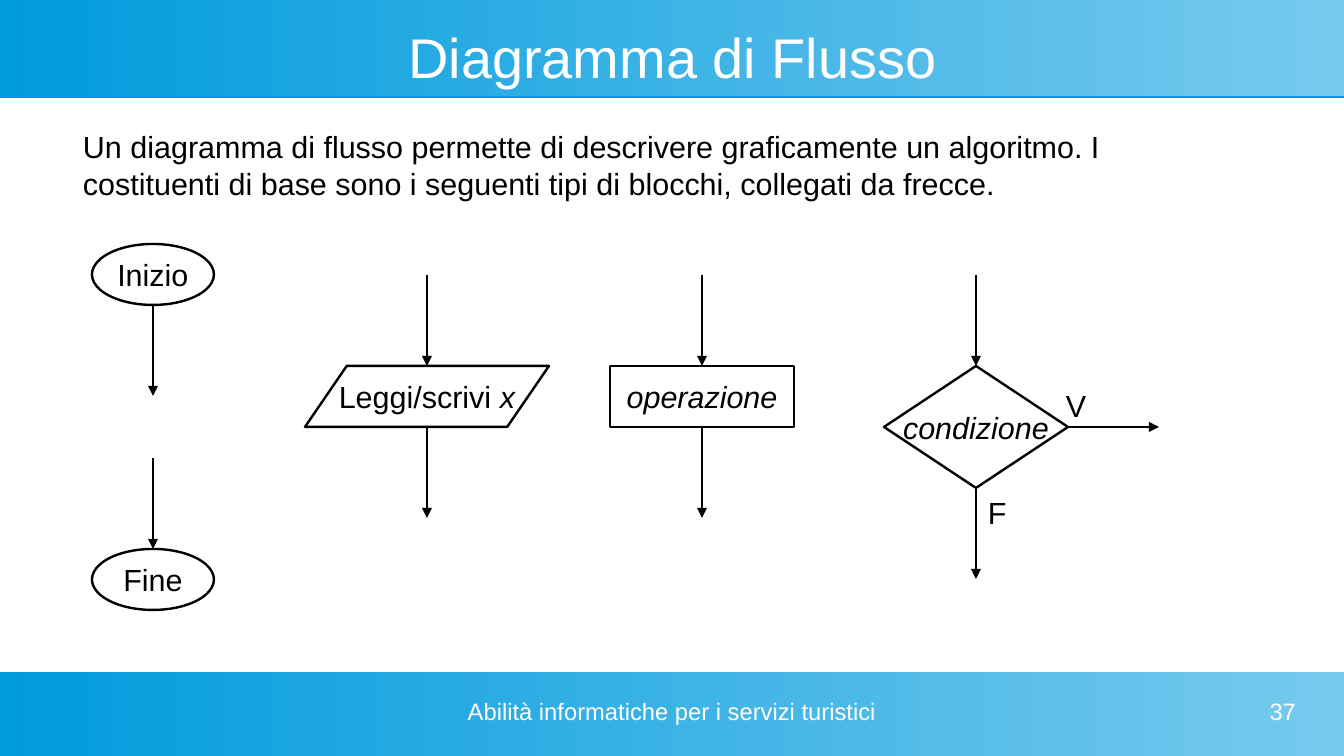
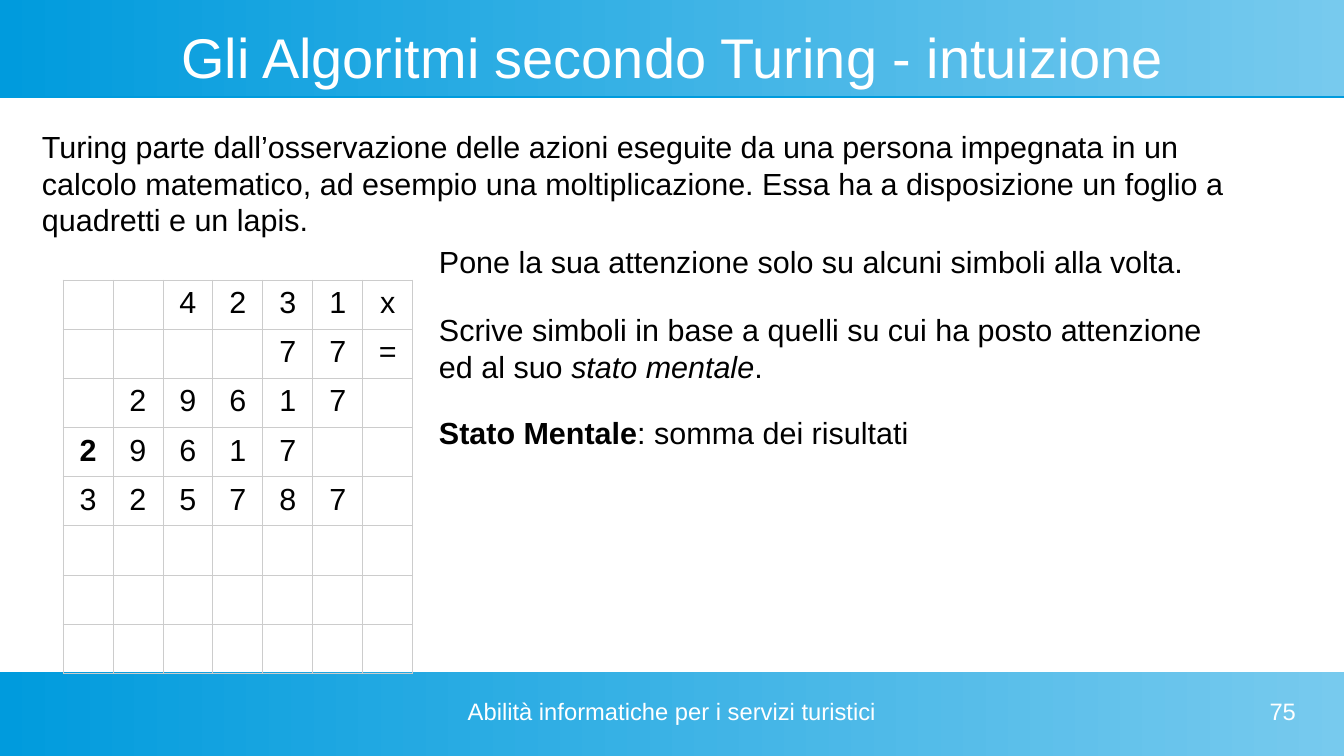
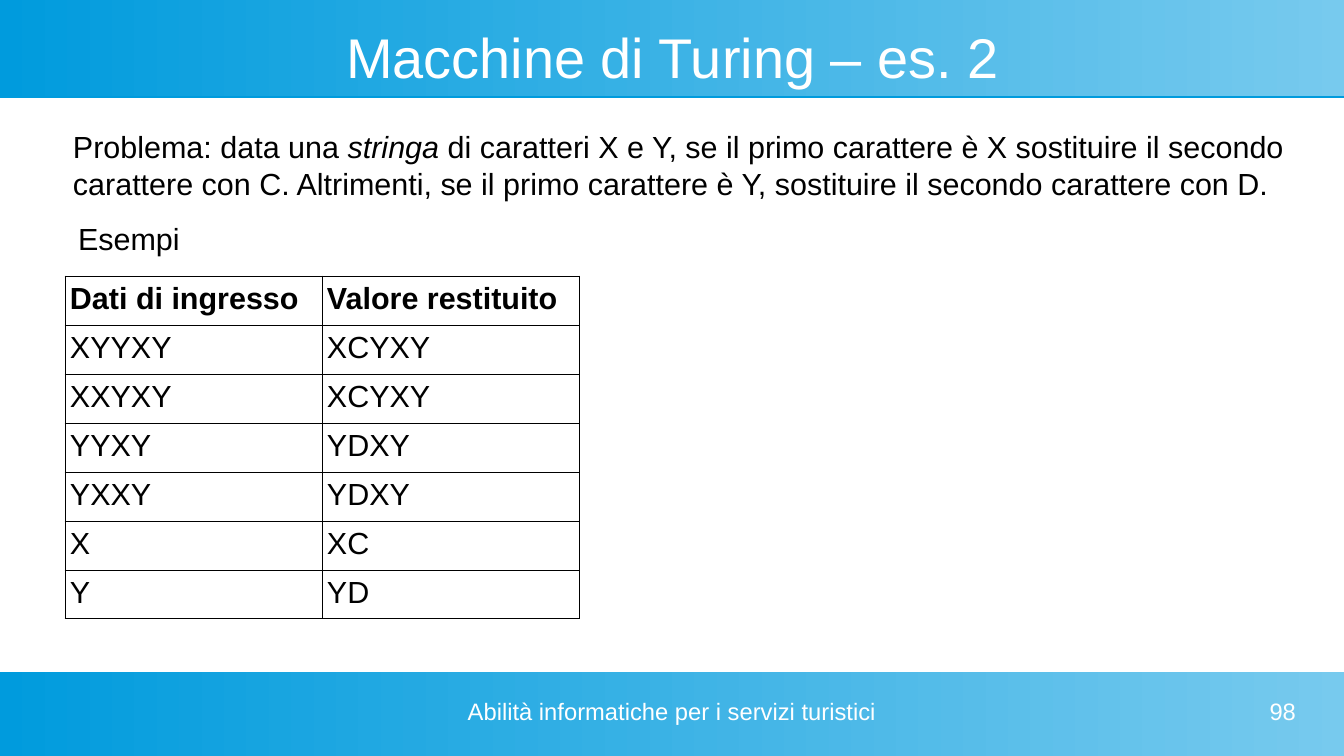
from dataclasses import dataclass
from typing import NamedTuple, Optional, Sequence

from lxml.etree import SubElement
from pptx import Presentation
from pptx.dml.color import RGBColor
from pptx.enum.shapes import MSO_CONNECTOR, MSO_SHAPE
from pptx.enum.text import MSO_ANCHOR, MSO_AUTO_SIZE, PP_ALIGN
from pptx.oxml.ns import qn
from pptx.oxml.xmlchemy import OxmlElement
from pptx.presentation import Presentation as Deck
from pptx.slide import Slide, SlideLayout
from pptx.text.text import TextFrame
from pptx.util import Emu, Pt

EMU_PER_PX = 7495
PAGE_WIDTH, PAGE_HEIGHT = 1344, 756
COLORS = {
    "deep_blue": "009BDD",
    "light_blue": "77CAEE",
    "white": "FFFFFF",
    "black": "000000",
    "grid": "CCCCCC",
}
FONT = "Arial"
TITLE_SIZE, TEXT_SIZE, FOOTER_SIZE = 33, 18, 14
FOOTER = "Abilità informatiche per i servizi turistici"
LINE_WIDTH, BORDER_WIDTH = 1.42, 0.57
ARROW_LENGTH = 91
ROW_HEIGHT = 49


class Area(NamedTuple):
    left: int
    top: int
    width: int
    height: int


class Span(NamedTuple):
    text: str
    bold: bool = False
    italic: bool = False


Line = Sequence[Span]


@dataclass(frozen=True)
class TextStyle:
    size: int = TEXT_SIZE
    color: str = "black"
    align: PP_ALIGN = PP_ALIGN.LEFT
    inset_x: int = 12
    inset_y: int = 6
    anchor: MSO_ANCHOR = MSO_ANCHOR.TOP
    wrap: bool = True


@dataclass(frozen=True)
class FlowBlock:
    kind: MSO_SHAPE
    center: int
    top: int
    width: int
    height: int
    label: Line
    arrow_in: bool = True
    arrow_out: bool = True
    slant: Optional[float] = None


BODY = TextStyle()
LABEL = TextStyle(align=PP_ALIGN.CENTER, anchor=MSO_ANCHOR.MIDDLE, wrap=False)
TITLE = TextStyle(TITLE_SIZE, "white", PP_ALIGN.CENTER, 0, 0, MSO_ANCHOR.MIDDLE)
FOOTER_CENTER = TextStyle(FOOTER_SIZE, "white", PP_ALIGN.CENTER, 0, 0)
FOOTER_RIGHT = TextStyle(FOOTER_SIZE, "white", PP_ALIGN.RIGHT, 0, 0)
CELL_LEFT = TextStyle(inset_x=5)
CELL_CENTER = TextStyle(align=PP_ALIGN.CENTER, inset_x=5)

TITLE_AREA = Area(48, 24, 1249, 64)
BANDS = (Area(0, 0, PAGE_WIDTH, 96), Area(0, 672, PAGE_WIDTH, 84))
FOOTER_AREA = Area(456, 697, 432, 48)
NUMBER_AREA = Area(984, 697, 312, 48)

FLOW_BLOCKS = (
    FlowBlock(MSO_SHAPE.OVAL, 153, 244, 122, 61, [Span("Inizio")], arrow_in=False),
    FlowBlock(MSO_SHAPE.OVAL, 153, 549, 122, 61, [Span("Fine")], arrow_out=False),
    FlowBlock(MSO_SHAPE.PARALLELOGRAM, 427, 366, 244, 61,
              [Span("Leggi/scrivi "), Span("x", italic=True)], slant=0.685),
    FlowBlock(MSO_SHAPE.RECTANGLE, 702, 366, 184, 61, [Span("operazione", italic=True)]),
    FlowBlock(MSO_SHAPE.DIAMOND, 976, 366, 184, 122, [Span("condizione", italic=True)]),
)
MULTIPLICATION = (
    "__4231x", "____77=", "_29617_", "29617__", "325787_",
    "_______", "_______", "_______",
)
CARRY_CELL = (3, 0)
EXAMPLES = (
    ("Dati di ingresso", "Valore restituito"),
    ("XYYXY", "XCYXY"),
    ("XXYXY", "XCYXY"),
    ("YYXY", "YDXY"),
    ("YXXY", "YDXY"),
    ("X", "XC"),
    ("Y", "YD"),
)


def px(length: int) -> Emu:
    return Emu(length * EMU_PER_PX)


def place(area: Area) -> list[Emu]:
    return [px(length) for length in area]


def rgb(name: str) -> RGBColor:
    return RGBColor.from_string(COLORS[name])


def write(frame: TextFrame, lines: Sequence[Line], style: TextStyle) -> None:
    frame.auto_size = MSO_AUTO_SIZE.NONE
    frame.word_wrap = style.wrap
    frame.vertical_anchor = style.anchor
    frame.margin_left = frame.margin_right = px(style.inset_x)
    frame.margin_top = frame.margin_bottom = px(style.inset_y)
    write_lines(frame, lines, style)


def write_lines(frame: TextFrame, lines: Sequence[Line], style: TextStyle) -> None:
    for index, line in enumerate(lines):
        para = frame.add_paragraph() if index else frame.paragraphs[0]
        para.alignment = style.align
        for span in line:
            run = para.add_run()
            run.text = span.text
            run.font.name = FONT
            run.font.size = Pt(style.size)
            run.font.bold = span.bold
            run.font.italic = span.italic
            run.font.color.rgb = rgb(style.color)


def add_text(page: Slide, area: Area, *lines: Line, style: TextStyle = BODY) -> None:
    box = page.shapes.add_textbox(*place(area))
    write(box.text_frame, lines, style)


def add_band(page: Slide, layout: SlideLayout, area: Area) -> None:
    band = page.shapes.add_shape(MSO_SHAPE.RECTANGLE, *place(area))
    band.fill.gradient()
    band.fill.gradient_angle = 0
    for stop, position, color in zip(
        band.fill.gradient_stops, (0, 1), ("deep_blue", "light_blue")
    ):
        stop.position = position
        stop.color.rgb = rgb(color)
    band.line.fill.background()
    band.shadow.inherit = False
    effects = band.element.spPr.find(qn("a:effectLst"))
    shadow = SubElement(effects, qn("a:outerShdw"), blurRad="0",
                        dist=str(int(Pt(0.9))), dir="5400000", rotWithShape="0")
    SubElement(shadow, qn("a:srgbClr"), val=COLORS["deep_blue"])
    layout.shapes.element.insert(2, band.element)


def prepare_layout(deck: Deck) -> SlideLayout:
    layout = deck.slide_layouts[5]
    title, *others = layout.placeholders
    for holder in others:
        layout.shapes.element.remove(holder.element)
    title.left, title.top, title.width, title.height = place(TITLE_AREA)
    return layout


def add_page(deck: Deck, layout: SlideLayout, title: str, number: int) -> Slide:
    page = deck.slides.add_slide(layout)
    write(page.shapes.title.text_frame, [[Span(title)]], TITLE)
    add_text(page, FOOTER_AREA, [Span(FOOTER)], style=FOOTER_CENTER)
    add_text(page, NUMBER_AREA, [Span(str(number))], style=FOOTER_RIGHT)
    return page


def add_arrow(page: Slide, left: int, top: int, across: int = 0, down: int = 0) -> None:
    arrow = page.shapes.add_connector(
        MSO_CONNECTOR.STRAIGHT, px(left), px(top), px(left + across), px(top + down)
    )
    arrow.line.color.rgb = rgb("black")
    arrow.line.width = Pt(LINE_WIDTH)
    properties = arrow.element.spPr
    SubElement(properties.find(qn("a:ln")), qn("a:tailEnd"), type="triangle")
    SubElement(properties, qn("a:effectLst"))


def add_block(page: Slide, block: FlowBlock) -> None:
    area = Area(block.center - block.width // 2, block.top, block.width, block.height)
    shape = page.shapes.add_shape(block.kind, *place(area))
    if block.slant is not None:
        shape.adjustments[0] = block.slant
    shape.fill.background()
    shape.line.color.rgb = rgb("black")
    shape.line.width = Pt(LINE_WIDTH)
    shape.shadow.inherit = False
    write(shape.text_frame, [block.label], LABEL)
    if block.arrow_in:
        add_arrow(page, block.center, block.top - ARROW_LENGTH, down=ARROW_LENGTH)
    if block.arrow_out:
        add_arrow(page, block.center, block.top + block.height, down=ARROW_LENGTH)


def add_grid(page: Slide, left: int, top: int, column_width: int,
             rows: Sequence[Sequence[Span]], border: str, style: TextStyle) -> None:
    columns = len(rows[0])
    area = Area(left, top, column_width * columns, ROW_HEIGHT * len(rows))
    table = page.shapes.add_table(len(rows), columns, *place(area)).table
    table.first_row = table.horz_banding = False
    for row_index, row in enumerate(rows):
        for column_index, span in enumerate(row):
            cell = table.cell(row_index, column_index)
            cell.margin_left = cell.margin_right = px(style.inset_x)
            cell.margin_top = cell.margin_bottom = px(style.inset_y)
            cell.fill.background()
            properties = cell._tc.get_or_add_tcPr()
            for index, side in enumerate(("a:lnL", "a:lnR", "a:lnT", "a:lnB")):
                edge = OxmlElement(side)
                edge.set("w", str(int(Pt(BORDER_WIDTH))))
                fill = SubElement(edge, qn("a:solidFill"))
                SubElement(fill, qn("a:srgbClr"), val=COLORS[border])
                properties.insert(index, edge)
            if span.text:
                write_lines(cell.text_frame, [[span]], style)


def build_flowchart(page: Slide) -> None:
    add_text(page, Area(71, 122, 1128, 92), [Span(
        "Un diagramma di flusso permette di descrivere graficamente un algoritmo. "
        "I costituenti di base sono i seguenti tipi di blocchi, collegati da frecce."
    )])
    for block in FLOW_BLOCKS:
        add_block(page, block)
    add_arrow(page, 1068, 427, across=ARROW_LENGTH)
    add_text(page, Area(1054, 381, 44, 46), [Span("V")])
    add_text(page, Area(976, 488, 44, 46), [Span("F")])


def build_multiplication(page: Slide) -> None:
    add_text(page, Area(30, 122, 1250, 115), [Span(
        "Turing parte dall’osservazione delle azioni eseguite da una persona impegnata "
        "in un calcolo matematico, ad esempio una moltiplicazione. Essa ha a "
        "disposizione un foglio a quadretti e un lapis."
    )])
    rows = [
        [Span(symbol.strip("_"), bold=(row, column) == CARRY_CELL)
         for column, symbol in enumerate(symbols)]
        for row, symbols in enumerate(MULTIPLICATION)
    ]
    add_grid(page, 63, 280, 50, rows, "grid", CELL_CENTER)
    add_text(page, Area(427, 237, 793, 68),
             [Span("Pone la sua attenzione solo su alcuni simboli alla volta.")])
    add_text(page, Area(427, 305, 793, 80),
             [Span("Scrive simboli in base a quelli su cui ha posto attenzione")],
             [Span("ed al suo "), Span("stato mentale", italic=True), Span(".")])
    add_text(page, Area(427, 408, 793, 68),
             [Span("Stato Mentale", bold=True), Span(": somma dei risultati")])


def build_exercise(page: Slide) -> None:
    add_text(page, Area(61, 122, 1250, 92), [
        Span("Problema: data una "),
        Span("stringa", italic=True),
        Span(" di caratteri X e Y, se il primo carattere è X sostituire il secondo "
             "carattere con C. Altrimenti, se il primo carattere è Y, sostituire il "
             "secondo carattere con D."),
    ])
    rows = [[Span(text, bold=index == 0) for text in row]
            for index, row in enumerate(EXAMPLES)]
    add_grid(page, 65, 276, 257, rows, "black", CELL_LEFT)
    add_text(page, Area(66, 214, 214, 61), [Span("Esempi")])


def main() -> None:
    deck = Presentation()
    deck.slide_width, deck.slide_height = px(PAGE_WIDTH), px(PAGE_HEIGHT)
    layout = prepare_layout(deck)
    flowchart = add_page(deck, layout, "Diagramma di Flusso", 37)
    for area in BANDS:
        add_band(flowchart, layout, area)
    build_flowchart(flowchart)
    build_multiplication(
        add_page(deck, layout, "Gli Algoritmi secondo Turing - intuizione", 75))
    build_exercise(add_page(deck, layout, "Macchine di Turing – es. 2", 98))
    deck.save("out.pptx")


if __name__ == "__main__":
    main()
